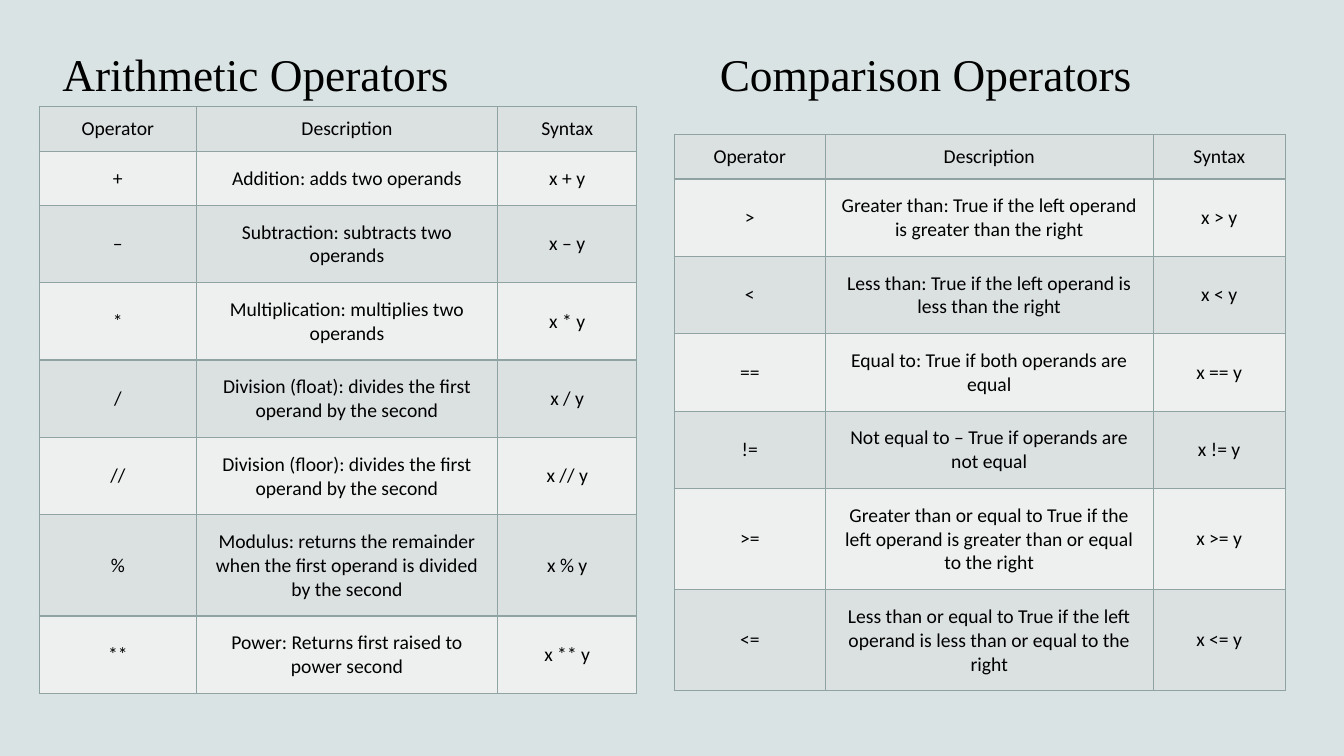
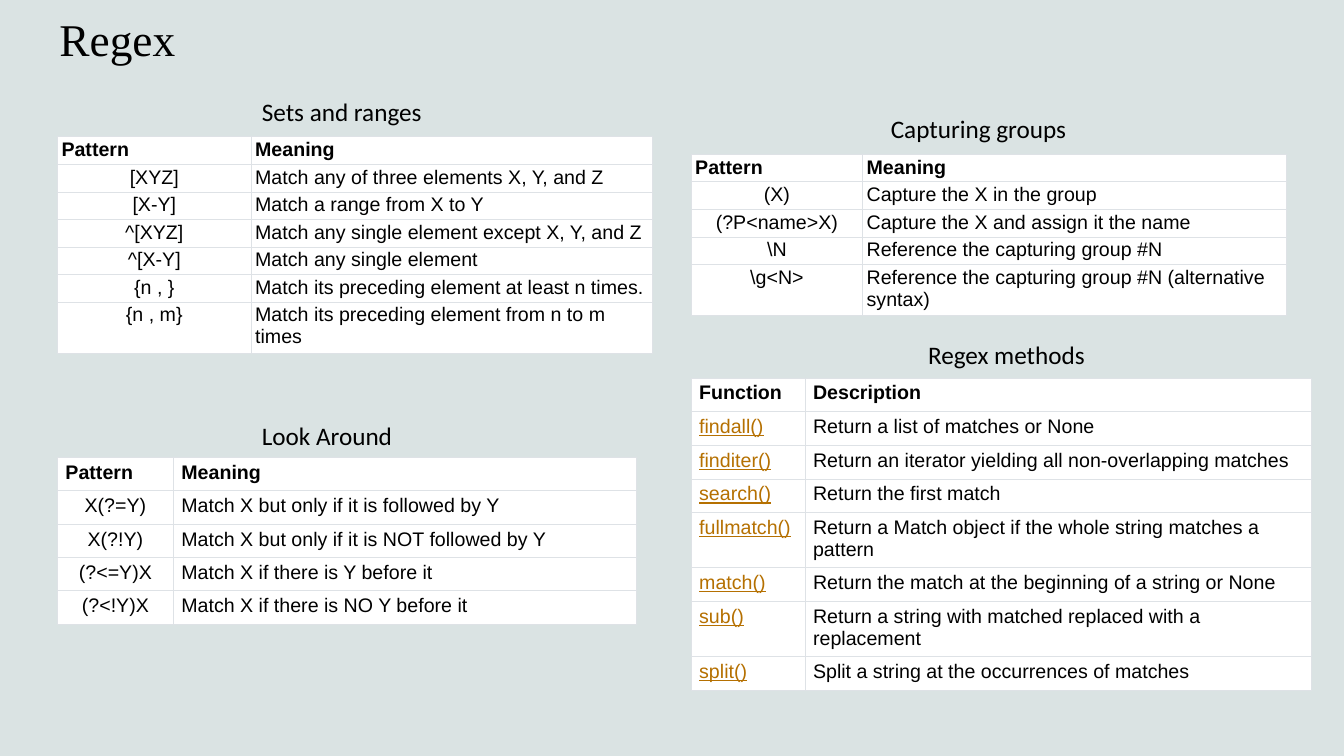
from dataclasses import dataclass

from lxml.etree import SubElement
from pptx import Presentation
from pptx.dml.color import RGBColor
from pptx.enum.text import MSO_ANCHOR as Anchor, PP_ALIGN as Align
from pptx.oxml.ns import qn
from pptx.slide import Slide
from pptx.table import _Cell as Cell
from pptx.text.text import _Paragraph as Paragraph
from pptx.util import Cm, Pt

BACKGROUND = RGBColor(0xDA, 0xE3, 0xE3)
BLACK = RGBColor(0x00, 0x00, 0x00)
WHITE = RGBColor(0xFF, 0xFF, 0xFF)
BAND_DARK = RGBColor(0xDB, 0xE0, 0xE0)
BAND_LIGHT = RGBColor(0xEE, 0xF0, 0xF0)
GRID_GREEN = RGBColor(0x8F, 0xA3, 0xA3)
GRID_GREY = RGBColor(0xDE, 0xE2, 0xE6)
LINK = RGBColor(0xB5, 0x70, 0x01)

TITLE_FONT = "Times New Roman"
CAPTION_FONT = "Calibri"


@dataclass(frozen=True)
class TableStyle:
    font: str
    bands: tuple[RGBColor, ...]
    grid: RGBColor
    grid_pt: float
    inset_x: float
    inset_y: float
    header_height: float
    row_heights: tuple[float, ...]
    bold_header: bool
    anchor: Anchor
    first_align: Align
    rest_align: Align
    header_align: Align
    linked_first: bool = False


@dataclass(frozen=True)
class Grid:
    left: float
    top: float
    columns: tuple[float, ...]
    style: TableStyle
    header: tuple[str, ...]
    rows: tuple[tuple[str, ...], ...]
    lines: tuple[int, ...]


@dataclass(frozen=True)
class Label:
    text: str
    left: float
    top: float
    width: float


OPERATORS = TableStyle("Calibri", (BAND_DARK, BAND_LIGHT), GRID_GREEN, 1, 0.25, 0.38,
                       1.13, (1.35, 1.95, 2.55), False, Anchor.MIDDLE,
                       Align.CENTER, Align.CENTER, Align.CENTER)
COMPACT = TableStyle("Arial", (WHITE,), GRID_GREY, 0.75, 0.1, 0.05,
                     0.67, (0.67, 1.22), True, Anchor.TOP,
                     Align.CENTER, Align.LEFT, Align.LEFT)
ROOMY = TableStyle("Arial", (WHITE,), GRID_GREY, 0.75, 0.2, 0.1,
                   0.84, (0.84, 1.33), True, Anchor.TOP,
                   Align.CENTER, Align.LEFT, Align.LEFT)
METHODS = TableStyle("Arial", (WHITE,), GRID_GREY, 0.75, 0.2, 0.1,
                     0.84, (0.85, 1.33), True, Anchor.TOP,
                     Align.LEFT, Align.LEFT, Align.LEFT, True)

OPERATOR_HEADER = ("Operator", "Description", "Syntax")
PATTERN_HEADER = ("Pattern", "Meaning")

ARITHMETIC = Grid(0.99, 2.69, (3.96, 7.59, 3.51), OPERATORS, OPERATOR_HEADER, (
    ("+", "Addition: adds two operands", "x + y"),
    ("–", "Subtraction: subtracts two operands", "x – y"),
    ("*", "Multiplication: multiplies two operands", "x * y"),
    ("/", "Division (float): divides the first operand by the second", "x / y"),
    ("//", "Division (floor): divides the first operand by the second", "x // y"),
    ("%", "Modulus: returns the remainder when the first operand is divided by the second",
     "x % y"),
    ("**", "Power: Returns first raised to power second", "x ** y"),
), (1, 2, 2, 2, 2, 3, 2))

COMPARISON = Grid(16.99, 3.38, (3.81, 8.26, 3.33), OPERATORS, OPERATOR_HEADER, (
    (">", "Greater than: True if the left operand is greater than the right", "x > y"),
    ("<", "Less than: True if the left operand is less than the right", "x < y"),
    ("==", "Equal to: True if both operands are equal", "x == y"),
    ("!=", "Not equal to – True if operands are not equal", "x != y"),
    (">=", "Greater than or equal to True if the left operand is greater than or equal "
     "to the right", "x >= y"),
    ("<=", "Less than or equal to True if the left operand is less than or equal "
     "to the right", "x <= y"),
), (2, 2, 2, 2, 3, 3))

SETS = Grid(1.45, 3.45, (4.88, 10.11), COMPACT, PATTERN_HEADER, (
    ("[XYZ]", "Match any of three elements X, Y, and Z"),
    ("[X-Y]", "Match a range from X to Y"),
    ("^[XYZ]", "Match any single element except X, Y, and Z"),
    ("^[X-Y]", "Match any single element"),
    ("{n , }", "Match its preceding element at least n times."),
    ("{n , m}", "Match its preceding element from n to m times"),
), (1, 1, 1, 1, 1, 2))

GROUPS = Grid(17.42, 3.89, (4.32, 10.69), COMPACT, PATTERN_HEADER, (
    ("(X)", "Capture the X in the group"),
    ("(?P<name>X)", "Capture the X and assign it the name"),
    ("\\N", "Reference the capturing group #N"),
    ("\\g<N>", "Reference the capturing group #N (alternative syntax)"),
), (1, 1, 1, 2))

LOOK_AROUND = Grid(1.45, 11.53, (2.92, 11.68), ROOMY, PATTERN_HEADER, (
    ("X(?=Y)", "Match X but only if it is followed by Y"),
    ("X(?!Y)", "Match X but only if it is NOT followed by Y"),
    ("(?<=Y)X", "Match X if there is Y before it"),
    ("(?<!Y)X", "Match X if there is NO Y before it"),
), (1, 1, 1, 1))

REGEX_METHODS = Grid(17.42, 9.53, (2.87, 12.75), METHODS, ("Function", "Description"), (
    ("findall()", "Return a list of matches or None"),
    ("finditer()", "Return an iterator yielding all non-overlapping matches"),
    ("search()", "Return the first match"),
    ("fullmatch()", "Return a Match object if the whole string matches a pattern"),
    ("match()", "Return the match at the beginning of a string or None"),
    ("sub()", "Return a string with matched replaced with a replacement"),
    ("split()", "Split a string at the occurrences of matches"),
), (1, 1, 1, 2, 1, 2, 1))

OPERATOR_TITLES = (
    Label("Arithmetic Operators", 1.57, 1.12, 14),
    Label("Comparison Operators", 18.14, 1.12, 14),
)
REGEX_TITLES = (Label("Regex", 1.5, 0.23, 30.84),)
REGEX_CAPTIONS = (
    Label("Sets and ranges", 6.35, 2.31, 5.18),
    Label("Capturing groups", 22.2, 2.74, 6.12),
    Label("Look Around", 6.35, 10.46, 5.18),
    Label("Regex methods", 23.14, 8.43, 5.18),
)


def add_run(p: Paragraph, text: str, font: str, size: float, color: RGBColor = BLACK,
            bold: bool = False, underline: bool = False) -> None:
    r = p.add_run()
    r.text = text
    r.font.name = font
    r.font.size = Pt(size)
    r.font.color.rgb = color
    r.font.bold = bold
    r.font.underline = underline


def add_title(s: Slide, label: Label) -> None:
    sp = s.shapes.add_textbox(Cm(label.left), Cm(label.top), Cm(label.width), Cm(1.55))
    tf = sp.text_frame
    tf.word_wrap = True
    tf.margin_left = 0
    tf.vertical_anchor = Anchor.BOTTOM
    add_run(tf.paragraphs[0], label.text, TITLE_FONT, 32.4)


def add_caption(s: Slide, label: Label) -> None:
    sp = s.shapes.add_textbox(Cm(label.left), Cm(label.top), Cm(label.width), Cm(1.02))
    tf = sp.text_frame
    tf.word_wrap = True
    add_run(tf.paragraphs[0], label.text, CAPTION_FONT, 18)


def add_borders(cell: Cell, color: RGBColor, width: float) -> None:
    tc_pr = cell._tc.get_or_add_tcPr()
    for side in ("a:lnL", "a:lnR", "a:lnT", "a:lnB"):
        ln = SubElement(tc_pr, qn(side), w=str(Pt(width)))
        fill = SubElement(ln, qn("a:solidFill"))
        SubElement(fill, qn("a:srgbClr"), val=str(color))


def fill_cell(cell: Cell, text: str, row: int, col: int, style: TableStyle) -> None:
    add_borders(cell, style.grid, style.grid_pt)
    cell.fill.solid()
    cell.fill.fore_color.rgb = style.bands[row % len(style.bands)]
    is_header = row == 0
    inset_y = min(style.inset_y, 0.25) if is_header else style.inset_y
    cell.margin_left = cell.margin_right = Cm(style.inset_x)
    cell.margin_top = cell.margin_bottom = Cm(inset_y)
    cell.vertical_anchor = style.anchor
    p = cell.text_frame.paragraphs[0]
    if is_header:
        p.alignment = style.header_align
    else:
        p.alignment = style.rest_align if col else style.first_align
    linked = style.linked_first and col == 0 and not is_header
    add_run(p, text, style.font, 14, LINK if linked else BLACK,
            is_header and style.bold_header, linked)


def add_grid(s: Slide, grid: Grid) -> None:
    style = grid.style
    heights = [style.header_height] + [style.row_heights[n - 1] for n in grid.lines]
    frame = s.shapes.add_table(len(heights), len(grid.columns), Cm(grid.left), Cm(grid.top),
                               Cm(sum(grid.columns)), Cm(sum(heights)))
    table = frame.table
    table.first_row = False
    table.horz_banding = False
    for column, width in zip(table.columns, grid.columns):
        column.width = Cm(width)
    for row, height in zip(table.rows, heights):
        row.height = Cm(height)
    for i, texts in enumerate((grid.header, *grid.rows)):
        for j, text in enumerate(texts):
            fill_cell(table.cell(i, j), text, i, j, style)


def add_slide(prs: Presentation, titles: tuple[Label, ...], grids: tuple[Grid, ...],
              captions: tuple[Label, ...] = ()) -> None:
    s = prs.slides.add_slide(prs.slide_layouts[6])
    s.background.fill.solid()
    s.background.fill.fore_color.rgb = BACKGROUND
    for title in titles:
        add_title(s, title)
    for grid in grids:
        add_grid(s, grid)
    for caption in captions:
        add_caption(s, caption)


def main() -> None:
    prs = Presentation()
    prs.slide_width = Cm(33.87)
    prs.slide_height = Cm(19.05)
    add_slide(prs, OPERATOR_TITLES, (ARITHMETIC, COMPARISON))
    add_slide(prs, REGEX_TITLES, (SETS, GROUPS, LOOK_AROUND, REGEX_METHODS), REGEX_CAPTIONS)
    prs.save("out.pptx")


if __name__ == "__main__":
    main()
